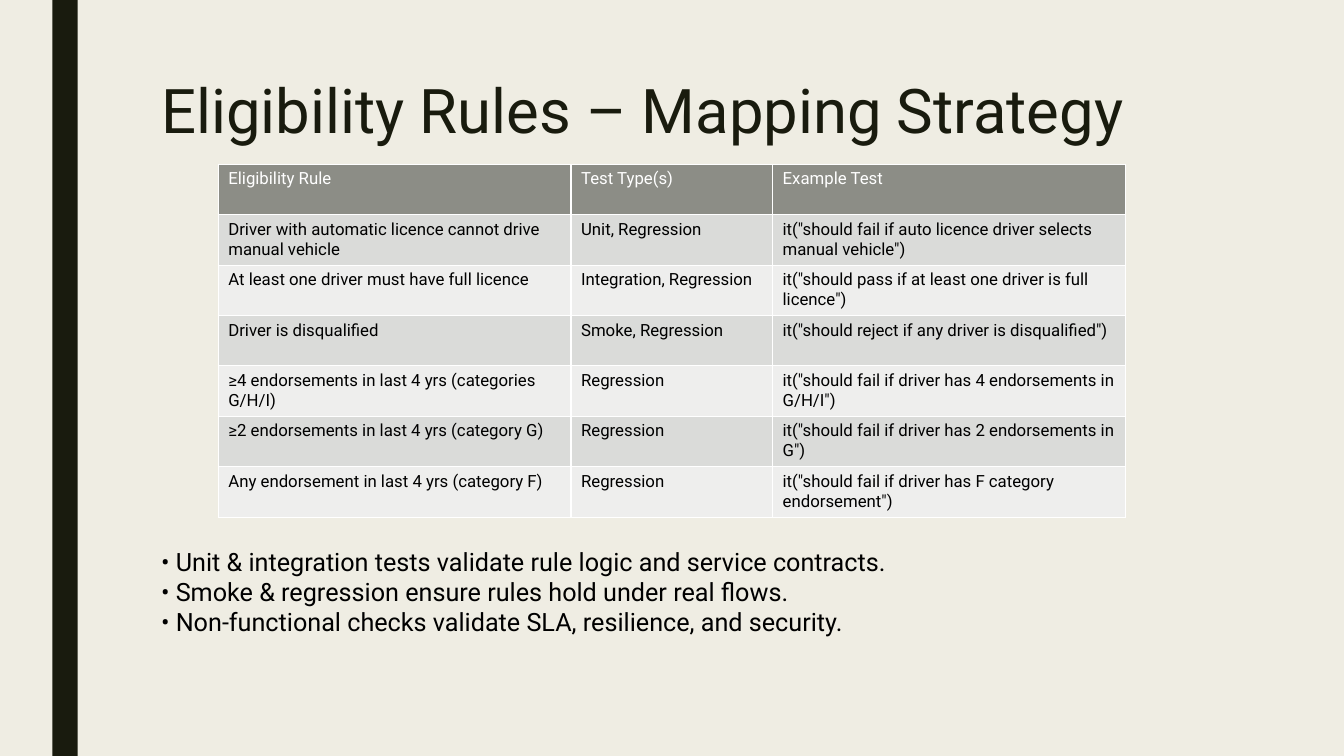
from dataclasses import astuple, dataclass

from lxml.etree import SubElement
from pptx import Presentation
from pptx.dml.color import RGBColor
from pptx.enum.shapes import MSO_SHAPE as Preset
from pptx.enum.text import MSO_ANCHOR as Anchor, MSO_AUTO_SIZE as AutoSize, PP_ALIGN as Align
from pptx.oxml.ns import qn
from pptx.util import Cm, Pt

FONT = "Roboto"
CREAM, OLIVE, WHITE, BLACK = "EFEDE3", "191B0E", "FFFFFF", "000000"
HEADER_GREY, BAND_DARK, BAND_LIGHT = "8C8D86", "DADBD9", "EEEEED"
COLUMN_WIDTHS = (8.89, 5.08, 8.89)
ROW_HEIGHT = 1.27


@dataclass(frozen=True)
class Rule:
    condition: str
    test_types: str
    example: str


HEADINGS = Rule("Eligibility Rule", "Test Type(s)", "Example Test")
RULES = [
    Rule("Driver with automatic licence cannot drive manual vehicle", "Unit, Regression",
         'it("should fail if auto licence driver selects manual vehicle")'),
    Rule("At least one driver must have full licence", "Integration, Regression",
         'it("should pass if at least one driver is full licence")'),
    Rule("Driver is disqualified", "Smoke, Regression",
         'it("should reject if any driver is disqualified")'),
    Rule("≥4 endorsements in last 4 yrs (categories G/H/I)", "Regression",
         'it("should fail if driver has 4 endorsements in G/H/I")'),
    Rule("≥2 endorsements in last 4 yrs (category G)", "Regression",
         'it("should fail if driver has 2 endorsements in G")'),
    Rule("Any endorsement in last 4 yrs (category F)", "Regression",
         'it("should fail if driver has F category endorsement")'),
]
TAKEAWAYS = [
    "• Unit & integration tests validate rule logic and service contracts.",
    "• Smoke & regression ensure rules hold under real flows.",
    "• Non-functional checks validate SLA, resilience, and security.",
]


def apply(target, values: dict) -> None:
    for name, value in values.items():
        setattr(target, name, value)


def paint(fill, color: str) -> None:
    fill.solid()
    fill.fore_color.rgb = RGBColor.from_string(color)


def write(frame, lines: list[str], size: float, color: str) -> None:
    frame.text = "\n".join(lines)
    for paragraph in frame.paragraphs:
        paragraph.alignment = Align.LEFT
        for run in paragraph.runs:
            apply(run.font, {"name": FONT, "size": Pt(size), "bold": False})
            paint(run.font.fill, color)


def outline(cell, color: str, width: float) -> None:
    properties = cell._tc.get_or_add_tcPr()
    for side in ("lnL", "lnR", "lnT", "lnB"):
        border = SubElement(properties, qn(f"a:{side}"), w=str(Pt(width)))
        SubElement(SubElement(border, qn("a:solidFill")), qn("a:srgbClr"), val=color)


def add_side_bar(slide) -> None:
    bar = slide.shapes.add_shape(Preset.RECTANGLE, Cm(1.32), 0, Cm(0.64), Cm(19.05))
    bar.shadow.inherit = False
    paint(bar.fill, OLIVE)
    bar.line.fill.background()


def add_title(slide) -> None:
    title = slide.shapes.title
    apply(title, {"left": Cm(3.81), "top": Cm(1.9), "width": Cm(26.67), "height": Cm(4.11)})
    apply(title.text_frame, {"vertical_anchor": Anchor.TOP, "word_wrap": True,
                             "auto_size": AutoSize.NONE})
    write(title.text_frame, ["Eligibility Rules – Mapping Strategy"], 44, OLIVE)
    title.text_frame.paragraphs[0].line_spacing = 0.89


def add_rule_table(slide) -> None:
    rows = [HEADINGS, *RULES]
    table = slide.shapes.add_table(len(rows), len(COLUMN_WIDTHS), Cm(5.5), Cm(4.14),
                                   Cm(sum(COLUMN_WIDTHS)), Cm(ROW_HEIGHT * len(rows))).table
    for column, width in zip(table.columns, COLUMN_WIDTHS):
        column.width = Cm(width)
    for index, rule in enumerate(rows):
        table.rows[index].height = Cm(ROW_HEIGHT)
        band = BAND_DARK if index % 2 else BAND_LIGHT
        background, ink = (band, BLACK) if index else (HEADER_GREY, WHITE)
        for cell, text in zip(table.rows[index].cells, astuple(rule)):
            write(cell.text_frame, [text], 12, ink)
            outline(cell, WHITE, 1)
            paint(cell.fill, background)


def add_takeaways(slide) -> None:
    takeaways = slide.shapes.add_textbox(Cm(3.81), Cm(13.64), Cm(22.86), Cm(2.54))
    takeaways.text_frame.word_wrap = True
    write(takeaways.text_frame, TAKEAWAYS, 18, BLACK)


def main() -> None:
    deck = Presentation()
    apply(deck, {"slide_width": Cm(33.87), "slide_height": Cm(19.05)})
    slide = deck.slides.add_slide(deck.slide_layouts[5])
    paint(slide.background.fill, CREAM)
    add_side_bar(slide)
    add_title(slide)
    add_rule_table(slide)
    add_takeaways(slide)
    deck.save("out.pptx")


if __name__ == "__main__":
    main()
